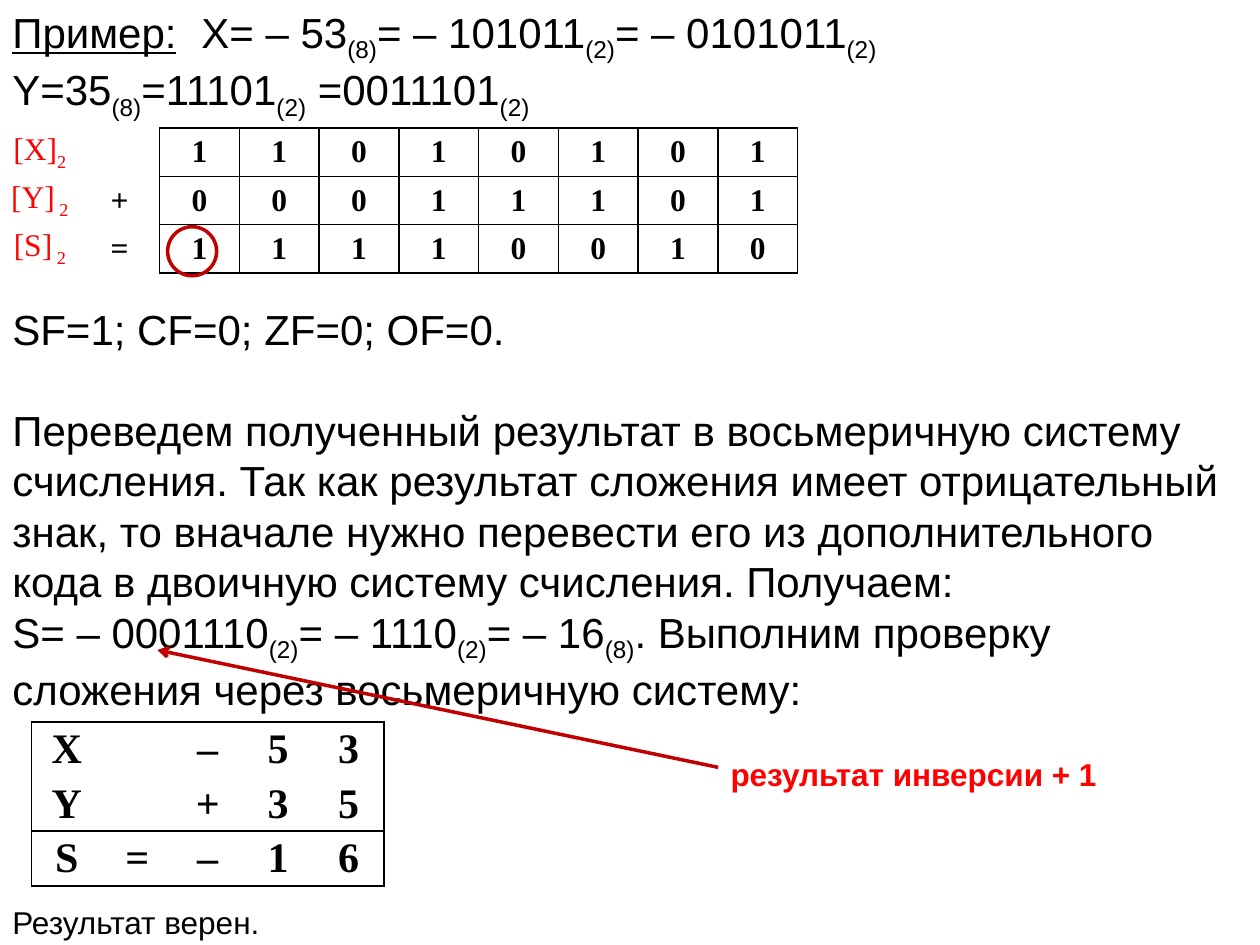
from lxml import etree
from pptx import Presentation
from pptx.dml.color import RGBColor
from pptx.enum.shapes import MSO_CONNECTOR, MSO_SHAPE
from pptx.enum.text import MSO_ANCHOR, PP_ALIGN
from pptx.oxml.ns import qn
from pptx.util import Pt

STRAIGHT = MSO_CONNECTOR.STRAIGHT
ELLIPSE = MSO_SHAPE.OVAL
CENTER = PP_ALIGN.CENTER
MIDDLE = MSO_ANCHOR.MIDDLE

COLORS = {"text": "000000", "label": "FF0000", "mark": "C00000"}
SIDES = ("L", "R", "T", "B")
BINARY_ROWS = [
    ["[X]~2~", "", *"11010101"],
    ["[Y]~ 2~", "+", *"00011101"],
    ["[S]~ 2~", "=", *"11110010"],
]
OCTAL_ROWS = [
    ["X", "", " – ", "5", "3"],
    ["Y", "", "+", "3", "5"],
    ["S", "=", " – ", "1", "6"],
]


def add_text(paragraph, text, size=24, color="text", font="Arial", bold=False, underline=False):
    """Append text to a paragraph, with parts between tildes as subscripts."""
    for index, part in enumerate(text.split("~")):
        if not part:
            continue
        run = paragraph.add_run()
        run.text = part
        run.font.size = Pt(size)
        run.font.name = font
        run.font.bold = bold
        run.font.underline = underline
        run.font.color.rgb = RGBColor.from_string(COLORS[color])
        if index % 2:
            run._r.get_or_add_rPr().set("baseline", "-25000")


def add_text_box(slide, left, top, width, height, wrap=True):
    """Add an empty text box and return its text frame."""
    frame = slide.shapes.add_textbox(Pt(left), Pt(top), Pt(width), Pt(height)).text_frame
    frame.word_wrap = wrap
    return frame


def set_borders(cell, visible_sides):
    """Draw thin black lines on the given sides and none on the others."""
    properties = cell._tc.get_or_add_tcPr()
    for index, side in enumerate(SIDES):
        line = etree.Element(qn(f"a:ln{side}"), w=str(Pt(1)))
        if side in visible_sides:
            fill = etree.SubElement(line, qn("a:solidFill"))
            etree.SubElement(fill, qn("a:srgbClr"), val=COLORS["text"])
        else:
            etree.SubElement(line, qn("a:noFill"))
        properties.insert(index, line)


def add_grid(slide, rows, left, top, column_width, row_height, size, borders):
    """Add a table of centred cells whose borders follow a rule of row and column."""
    frame = slide.shapes.add_table(
        len(rows), len(rows[0]), Pt(left), Pt(top),
        Pt(column_width * len(rows[0])), Pt(row_height * len(rows)),
    )
    table = frame.table
    table.first_row = table.horz_banding = False
    for column in table.columns:
        column.width = Pt(column_width)
    for row_index, texts in enumerate(rows):
        table.rows[row_index].height = Pt(row_height)
        for column_index, text in enumerate(texts):
            cell = table.cell(row_index, column_index)
            cell.fill.background()
            cell.vertical_anchor = MIDDLE
            cell.margin_left = cell.margin_right = Pt(5)
            cell.margin_top = cell.margin_bottom = Pt(0)
            paragraph = cell.text_frame.paragraphs[0]
            paragraph.alignment = CENTER
            paragraph.space_after = Pt(3)
            is_label = text.startswith("[")
            add_text(paragraph, text, size=size, font="Times New Roman",
                     color="label" if is_label else "text", bold=not is_label)
            set_borders(cell, borders(row_index, column_index))


def binary_borders(row, column):
    """Return the bordered sides of a cell in the binary sum."""
    return "LRTB" if column > 1 else "R" if column == 1 else ""


def octal_borders(row, column):
    """Return the bordered sides of a cell in the octal check."""
    return ("T", "B", "TB")[row] + {0: "L", 4: "R"}.get(column, "")


def add_arrow(slide, start, end):
    """Add a line with an open arrowhead at its end."""
    connector = slide.shapes.add_connector(STRAIGHT, *map(Pt, start + end))
    connector.line.color.rgb = RGBColor.from_string(COLORS["mark"])
    connector.line.width = Pt(2)
    etree.SubElement(connector.line._get_or_add_ln(), qn("a:tailEnd"), type="arrow")
    etree.SubElement(connector._element.spPr, qn("a:effectLst"))


def add_ring(slide, left, top, diameter):
    """Add an unfilled circle around a digit."""
    ring = slide.shapes.add_shape(ELLIPSE, Pt(left), Pt(top), Pt(diameter), Pt(diameter))
    ring.shadow.inherit = False
    ring.fill.background()
    ring.line.color.rgb = RGBColor.from_string(COLORS["mark"])
    ring.line.width = Pt(2)


def add_example(slide):
    """Add the two numbers of the example."""
    frame = add_text_box(slide, 0, 0, 698.4, 65.5)
    paragraph = frame.paragraphs[0]
    add_text(paragraph, "Пример:", underline=True)
    add_text(paragraph, " \tX= – 53~(8)~= – 101011~(2)~= – 0101011~(2)~")
    add_text(frame.add_paragraph(), "Y=35~(8)~=11101~(2)~ =0011101~(2)~")


def add_explanation(slide):
    """Add the flags, the conversion and the conclusion."""
    paragraphs = [
        ("SF=1; СF=0; ZF=0; OF=0.", 24, 0),
        ("Переведем полученный результат в восьмеричную систему счисления. "
         "Так как результат сложения имеет отрицательный знак, то вначале нужно "
         "перевести его из дополнительного кода в двоичную систему счисления. "
         "Получаем:", 24, 28.8),
        ("S= – 0001110~(2)~= – 1110~(2)~= – 16~(8)~. Выполним проверку сложения "
         "через восьмеричную систему:", 24, 0),
        ("Результат верен.", 18, 108),
    ]
    frame = add_text_box(slide, 0, 170, 720, 370.8)
    for index, (text, size, space) in enumerate(paragraphs):
        paragraph = frame.add_paragraph() if index else frame.paragraphs[0]
        paragraph.space_before = Pt(space)
        add_text(paragraph, text, size=size)


def main():
    """Build and save the slide."""
    presentation = Presentation()
    presentation.slide_width, presentation.slide_height = Pt(720), Pt(540)
    slide = presentation.slides.add_slide(presentation.slide_layouts[6])
    add_example(slide)
    add_explanation(slide)
    add_grid(slide, BINARY_ROWS, 0, 73.2, 45.6, 27.6, 18, binary_borders)
    add_grid(slide, OCTAL_ROWS, 18, 412.6, 40.3, 31.2, 24, octal_borders)
    add_arrow(slide, (410.4, 438.5), (90, 371.5))
    add_ring(slide, 95.8, 129.6, 28)
    note = add_text_box(slide, 410.4, 427.7, 225.4, 28.8, wrap=False)
    add_text(note.paragraphs[0], "результат инверсии + 1", size=18, color="label", bold=True)
    presentation.save("out.pptx")


if __name__ == "__main__":
    main()
